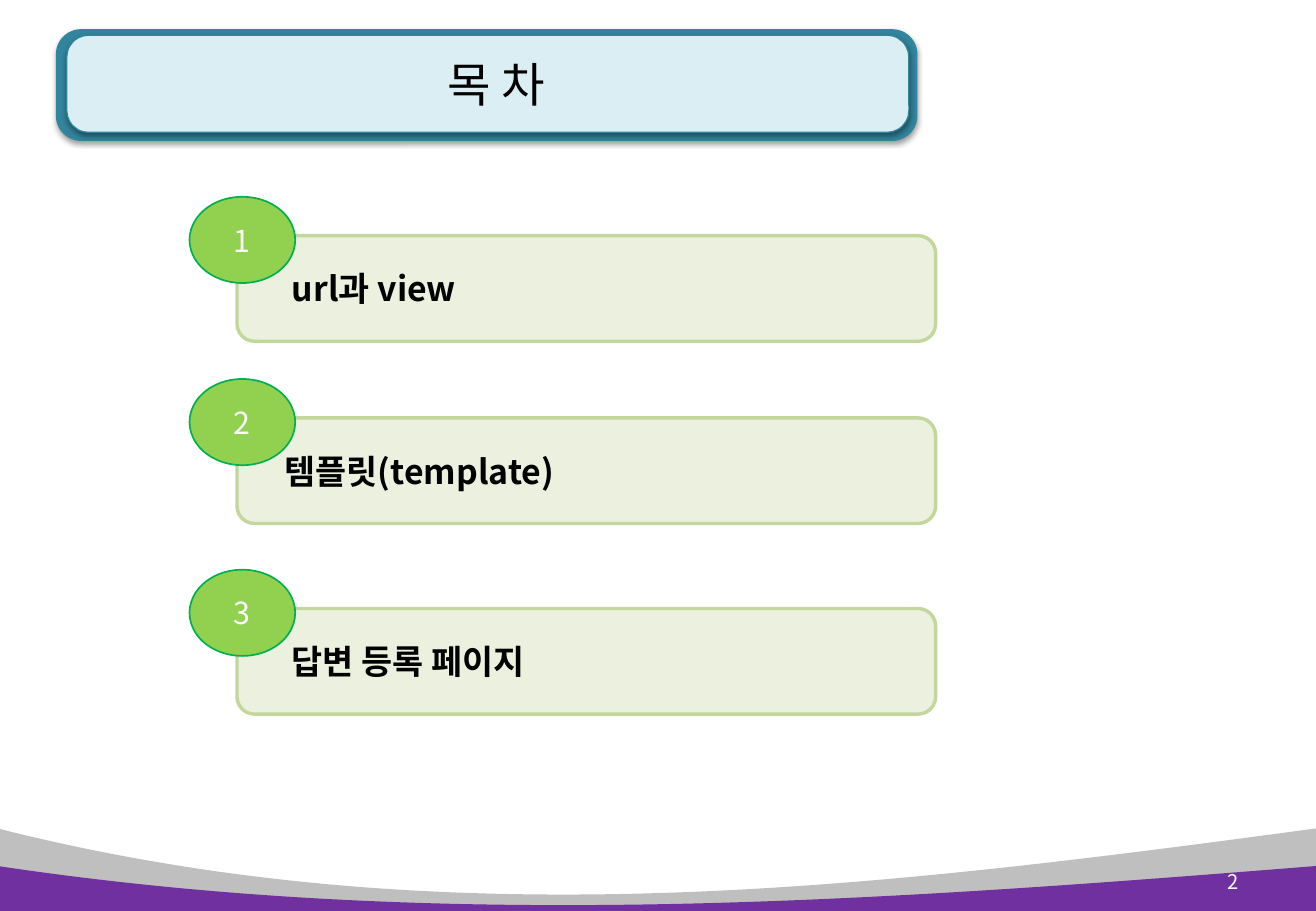
from lxml import etree
from pptx import Presentation
from pptx import util as u
from pptx.dml.color import RGBColor
from pptx.enum import shapes, text
from pptx.oxml import ns, parse_xml

BLACK = RGBColor(0x00, 0x00, 0x00)
WHITE = RGBColor(0xFF, 0xFF, 0xFF)
GRAY = RGBColor(0xBF, 0xBF, 0xBF)
PURPLE = RGBColor(0x70, 0x30, 0xA0)
TEAL = RGBColor(0x31, 0x85, 0x9C)
PALE_BLUE = RGBColor(0xDB, 0xEE, 0xF4)
PALE_GREEN = RGBColor(0xEB, 0xF1, 0xDE)
SOFT_GREEN = RGBColor(0xC3, 0xD6, 0x9B)
LIME = RGBColor(0x92, 0xD0, 0x50)
GREEN = RGBColor(0x00, 0xB0, 0x50)
FONT = "Noto Sans CJK KR"
W, H = 10.83, 7.5
SHADOW = ('<a:effectLst %s><a:outerShdw blurRad="39370" dist="20320" dir="5400000" rotWithShape="0">'
          '<a:srgbClr val="000000"><a:alpha val="38000"/></a:srgbClr>'
          '</a:outerShdw></a:effectLst>' % ns.nsdecls("a"))


def paint(sp, fill, line=None, width=0):
    sp.shadow.inherit = False
    sp.fill.solid()
    sp.fill.fore_color.rgb = fill
    if line is None:
        sp.line.fill.background()
    else:
        sp.line.color.rgb = line
        sp.line.width = u.Pt(width)


def write(sp, words, size, color, align, bold=False, inset=0.1):
    tf = sp.text_frame
    frame = {"word_wrap": True, "vertical_anchor": text.MSO_ANCHOR.MIDDLE,
             "margin_left": u.Inches(inset)}
    for name, value in frame.items():
        setattr(tf, name, value)
    p = tf.paragraphs[0]
    p.alignment = align
    r = p.add_run()
    r.text = words
    for name, value in {"name": FONT, "size": u.Pt(size), "bold": bold}.items():
        setattr(r.font, name, value)
    r.font.color.rgb = color
    ea = etree.SubElement(r.font._element, ns.qn("a:ea"))
    ea.set("typeface", FONT)


prs = Presentation()
prs.slide_width, prs.slide_height = u.Inches(W), u.Inches(H)
s = prs.slides.add_slide(prs.slide_layouts[5])
center, left, right = text.PP_ALIGN.CENTER, text.PP_ALIGN.LEFT, text.PP_ALIGN.RIGHT

# Footer waves: the top edge of each outline becomes one cubic curve
x0 = -0.02
for top, dip, rise, bottom, color in ((6.82, 7.75, 7.31, 7.5, GRAY),
                                      (7.13, 7.68, 7.42, 7.53, PURPLE)):
    fb = s.shapes.build_freeform(u.Inches(x0), u.Inches(top))
    corners = ((W, top), (W, bottom), (x0, bottom))
    fb.add_line_segments([(u.Inches(x), u.Inches(y)) for x, y in corners], close=True)
    wave = fb.convert_to_shape()
    paint(wave, color)
    edge = wave._element.find(".//" + ns.qn("a:lnTo"))
    edge.tag = ns.qn("a:cubicBezTo")
    for i, (x, y) in enumerate(((3.65, dip), (7.2, rise))):
        pt = etree.Element(ns.qn("a:pt"), x=str(u.Inches(x - x0)), y=str(u.Inches(y - top)))
        edge.insert(i, pt)

# Title banner
for box, fill, line in (((0.46, 0.24, 7.09, 0.92), TEAL, None),
                        ((0.55, 0.29, 6.93, 0.8), PALE_BLUE, TEAL)):
    sp = s.shapes.add_shape(shapes.MSO_SHAPE.ROUNDED_RECTANGLE, *map(u.Inches, box))
    sp.adjustments[0] = 0.225
    paint(sp, fill, line, 0.75)
    sp._element.spPr.remove(sp._element.spPr.find(ns.qn("a:effectLst")))
    sp._element.spPr.append(parse_xml(SHADOW))

# Title, brought in front of the banner
title = s.shapes.title
for name, value in {"left": 0.69, "top": 0.22, "width": 6.78, "height": 0.94}.items():
    setattr(title, name, u.Inches(value))
write(title, "목 차", 28, BLACK, center)
s.shapes._spTree.append(title._element)

# Page number
sp = s.shapes.add_textbox(*map(u.Inches, (9.68, 7.06, 0.61, 0.4)))
write(sp, "2", 12, WHITE, right)

# Contents: a bar with a numbered badge over its corner
items = (("url과 view", 1.62, 0.41), ("템플릿(template)", 3.12, 0.35), ("답변 등록 페이지", 4.69, 0.41))
for number, (words, top, inset) in enumerate(items, 1):
    bar = s.shapes.add_shape(shapes.MSO_SHAPE.ROUNDED_RECTANGLE,
                             *map(u.Inches, (1.95, top + 0.32, 5.75, 0.87)))
    paint(bar, PALE_GREEN, SOFT_GREEN, 2)
    write(bar, words, 20, BLACK, left, True, inset)
    badge = s.shapes.add_shape(shapes.MSO_SHAPE.OVAL, *map(u.Inches, (1.56, top, 0.87, 0.71)))
    paint(badge, LIME, GREEN, 1)
    write(badge, str(number), 18, WHITE, center)

prs.save("out.pptx")
